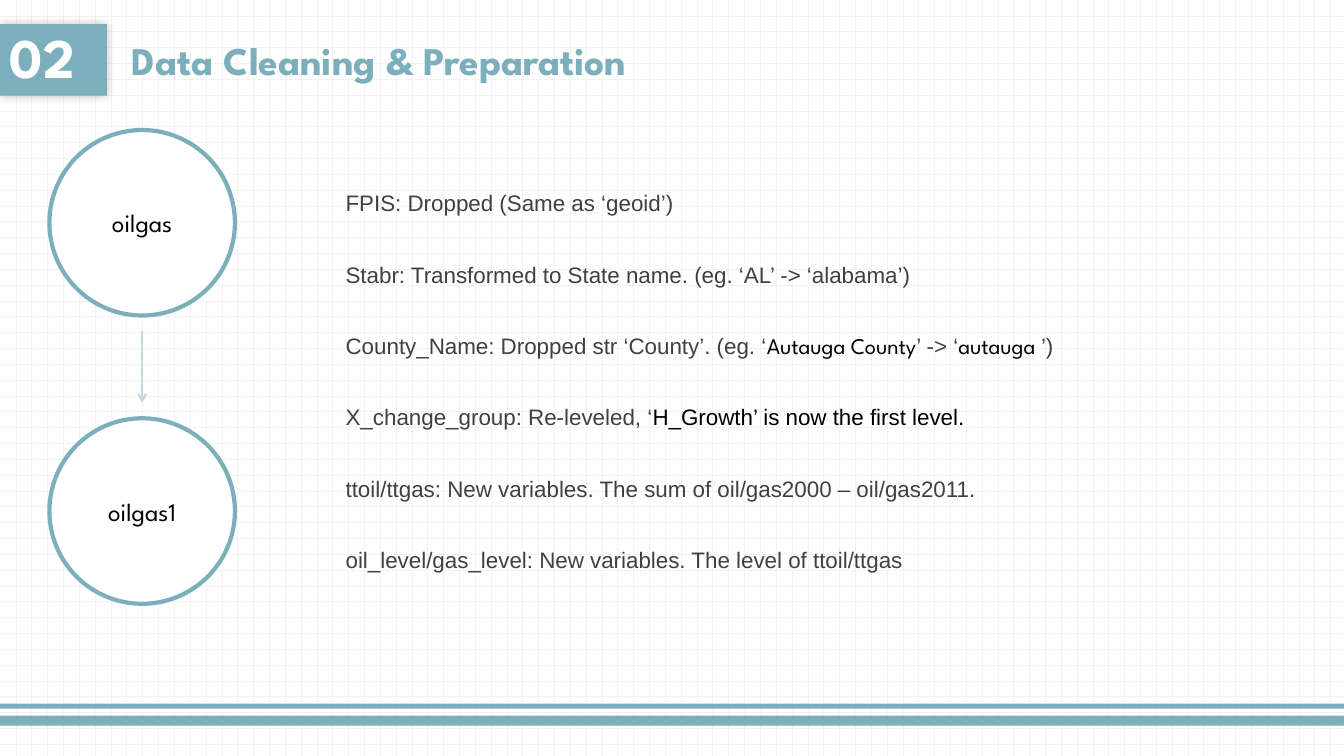
"""Build the data cleaning and preparation slide."""
from lxml import etree
from pptx import Presentation
from pptx.dml.color import RGBColor
from pptx.enum.dml import MSO_PATTERN
from pptx.enum.shapes import MSO_CONNECTOR, MSO_SHAPE
from pptx.enum.text import MSO_ANCHOR, MSO_AUTO_SIZE, PP_ALIGN
from pptx.oxml.ns import qn
from pptx.util import Inches, Pt

RECTANGLE, OVAL = MSO_SHAPE.RECTANGLE, MSO_SHAPE.OVAL
STRAIGHT = MSO_CONNECTOR.STRAIGHT
DOT_GRID = MSO_PATTERN.DOTTED_GRID
MIDDLE, CENTER, LEFT = MSO_ANCHOR.MIDDLE, PP_ALIGN.CENTER, PP_ALIGN.LEFT
GROW = MSO_AUTO_SIZE.SHAPE_TO_FIT_TEXT

COLORS = {"teal": "7CAFBC", "pale": "C1D9DF", "white": "FFFFFF",
          "grid": "F2F2F2", "gray": "404040", "black": "000000"}
DISPLAY, BODY = "League Spartan", "Arial"
NOTE, COLUMN, STRONG = (BODY, "gray"), (DISPLAY, "black"), (BODY, "black")

NUMBER, TITLE = "02", "Data Cleaning & Preparation"
DATASETS = ["oilgas", "oilgas1"]
STEPS = [
    [("FPIS: Dropped (Same as ‘geoid’)", NOTE)],
    [("Stabr: Transformed to State name. (eg. ‘AL’ -> ‘alabama’)", NOTE)],
    [("County_Name: Dropped str ‘County’. (eg. ‘", NOTE),
     ("Autauga County", COLUMN), ("’ -> ‘", NOTE),
     ("autauga ", COLUMN), ("’)", NOTE)],
    [("X_change_group: Re-leveled, ‘", NOTE),
     ("H_Growth’ is now the first level.", STRONG)],
    [("ttoil/ttgas: New variables. The sum of oil/gas2000 – oil/gas2011.", NOTE)],
    [("oil_level/gas_level: New variables. The level of ttoil/ttgas", NOTE)],
]

WIDTH, HEIGHT = 13.33, 7.5
FOOTER_BARS = [(7.1, 0.1), (6.98, 0.05)]
HEADER_TOP, HEADER_HEIGHT = 0.24, 0.71
CIRCLE_LEFT, CIRCLE_TOP, DIAMETER, CIRCLE_PITCH = 0.49, 1.29, 1.84, 2.86
ARROW_GAP = 0.155


def color(name):
    return RGBColor.from_string(COLORS[name])


def add_filled(slide, kind, box, fill, line=None):
    shape = slide.shapes.add_shape(kind, *map(Inches, box))
    shape.shadow.inherit = False
    shape.fill.solid()
    shape.fill.fore_color.rgb = color(fill)
    if line:
        shape.line.color.rgb = color(line)
        shape.line.width = Pt(3)
    else:
        shape.line.fill.background()
    return shape


def format_run(run, size, font, ink, bold=False):
    run.font.size, run.font.name, run.font.bold = Pt(size), font, bold
    run.font.color.rgb = color(ink)


def write_label(shape, text, size, ink, bold=False, align=LEFT):
    frame = shape.text_frame
    frame.text, frame.word_wrap, frame.vertical_anchor = text, True, MIDDLE
    paragraph = frame.paragraphs[0]
    paragraph.alignment = align
    format_run(paragraph.runs[0], size, DISPLAY, ink, bold)
    return paragraph


def add_soft_shadow(shape):
    effects = shape._element.spPr.find(qn("a:effectLst"))
    shadow = etree.SubElement(effects, qn("a:outerShdw"),
                              blurRad=str(Pt(7)), dist="0", dir="0")
    ink = etree.SubElement(shadow, qn("a:srgbClr"), val=COLORS["black"])
    etree.SubElement(ink, qn("a:alpha"), val="25000")


def add_header(slide):
    badge = add_filled(slide, RECTANGLE, (0, HEADER_TOP, 1.06, HEADER_HEIGHT), "teal")
    add_soft_shadow(badge)
    number = write_label(badge, NUMBER, 40, "white", bold=True)
    number.line_spacing = 0.9
    title_box = slide.shapes.add_textbox(
        *map(Inches, (1.21, HEADER_TOP, 9.19, HEADER_HEIGHT)))
    title = write_label(title_box, TITLE, 28, "teal", bold=True)
    number.space_before = title.space_before = Pt(10)


def add_arrow(slide, x, top, bottom):
    arrow = slide.shapes.add_connector(STRAIGHT, *map(Inches, (x, top, x, bottom)))
    arrow.line.color.rgb = color("pale")
    arrow.line.width = Pt(1.5)
    etree.SubElement(arrow.line._get_or_add_ln(), qn("a:tailEnd"), type="arrow")
    etree.SubElement(arrow._element.spPr, qn("a:effectLst"))


def add_datasets(slide):
    for index, name in enumerate(DATASETS):
        top = CIRCLE_TOP + index * CIRCLE_PITCH
        circle = add_filled(slide, OVAL, (CIRCLE_LEFT, top, DIAMETER, DIAMETER),
                            "white", "teal")
        write_label(circle, name, 18, "black", align=CENTER)
        if index:
            add_arrow(slide, CIRCLE_LEFT + DIAMETER / 2,
                      top - CIRCLE_PITCH + DIAMETER + ARROW_GAP, top - ARROW_GAP)


def add_steps(slide):
    box = slide.shapes.add_textbox(*map(Inches, (3.33, 1.75, 9.47, 3.94)))
    frame = box.text_frame
    frame.word_wrap, frame.auto_size = True, GROW
    for index, step in enumerate(STEPS):
        paragraph = frame.add_paragraph() if index else frame.paragraphs[0]
        paragraph.line_spacing = 1.3
        paragraph.space_before = Pt(26 if index else 0)
        for text, (font, ink) in step:
            run = paragraph.add_run()
            run.text = text
            format_run(run, 16, font, ink)


def main():
    presentation = Presentation()
    presentation.slide_width, presentation.slide_height = Inches(WIDTH), Inches(HEIGHT)
    slide = presentation.slides.add_slide(presentation.slide_layouts[6])
    backdrop = slide.background.fill
    backdrop.patterned()
    backdrop.pattern = DOT_GRID
    backdrop.fore_color.rgb, backdrop.back_color.rgb = color("grid"), color("white")
    for top, height in FOOTER_BARS:
        add_filled(slide, RECTANGLE, (0, top, WIDTH, height), "teal")
    add_header(slide)
    add_datasets(slide)
    add_steps(slide)
    presentation.save("out.pptx")


if __name__ == "__main__":
    main()
